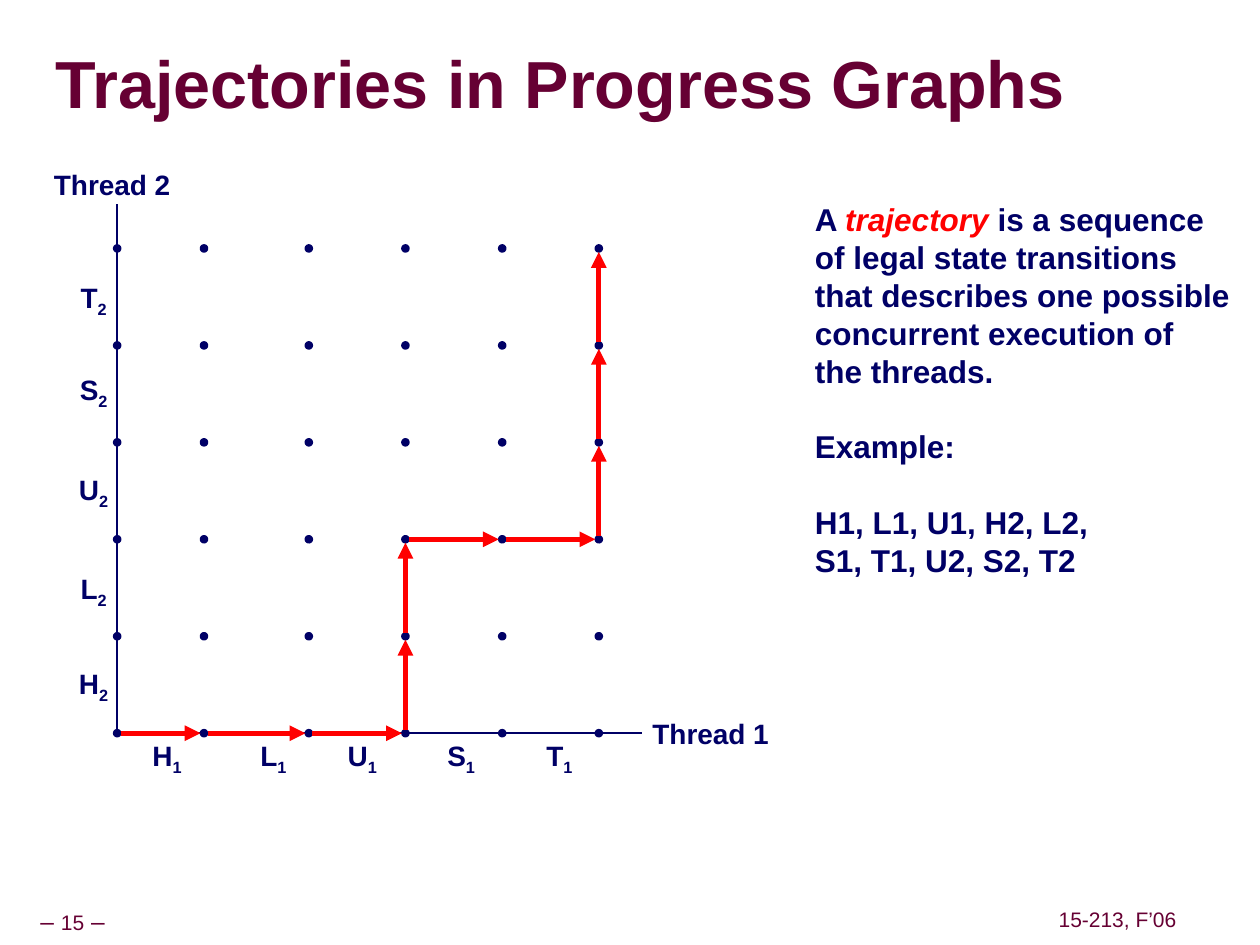
import pptx
import pptx.dml.color
import pptx.enum.shapes
import pptx.enum.text
import pptx.oxml
import pptx.oxml.ns
import pptx.util

Pt = pptx.util.Pt
ALIGN = pptx.enum.text.PP_ALIGN
NAVY, MAROON, RED = "000066", "660033", "FF0000"


def color(hex_text):
    return pptx.dml.color.RGBColor.from_string(hex_text)


def add_span(para, text, size, hex_text, bold=True, italic=False, baseline=None):
    span = para.add_run()
    span.text = text
    font = span.font
    font.name, font.size, font.bold, font.italic = "Arial", Pt(size), bold, italic
    font.color.rgb = color(hex_text)
    if baseline:
        font._element.set("baseline", str(baseline))


def add_box(page, left, top, width, height, align=ALIGN.CENTER, wrap=False, side=7.2):
    box = page.shapes.add_textbox(Pt(left), Pt(top), Pt(width), Pt(height))
    frame = box.text_frame
    frame.word_wrap = wrap
    frame.auto_size = pptx.enum.text.MSO_AUTO_SIZE.SHAPE_TO_FIT_TEXT
    frame.vertical_anchor = pptx.enum.text.MSO_ANCHOR.MIDDLE
    frame.margin_left = frame.margin_right = Pt(side)
    frame.margin_top = frame.margin_bottom = Pt(3.6)
    para = frame.paragraphs[0]
    para.alignment = align
    return para, frame


def add_line(page, start, end, hex_text, width, arrow=False):
    line = page.shapes.add_connector(
        pptx.enum.shapes.MSO_CONNECTOR.STRAIGHT,
        *(Pt(value) for value in (*start, *end)))
    line.line.color.rgb = color(hex_text)
    line.line.width = Pt(width)
    namespace = pptx.oxml.ns.nsdecls("a")
    if arrow:
        line.line._get_or_add_ln().append(
            pptx.oxml.parse_xml(f'<a:tailEnd {namespace} type="triangle"/>'))
    line._element.spPr.append(pptx.oxml.parse_xml(f"<a:effectLst {namespace}/>"))


def add_dot(page, x, y, size=2.9):
    dot = page.shapes.add_shape(
        pptx.enum.shapes.MSO_SHAPE.OVAL,
        Pt(x - size / 2), Pt(y - size / 2), Pt(size), Pt(size))
    dot.shadow.inherit = False
    dot.fill.solid()
    dot.fill.fore_color.rgb = color(NAVY)
    dot.line.color.rgb = color(NAVY)
    dot.line.width = Pt(2)


def add_step_label(page, x, y, letter, thread):
    para, _ = add_box(page, x - 18, y - 14.8, 36, 29.6)
    add_span(para, letter, 16, NAVY)
    add_span(para, str(thread), 16, NAVY, baseline=-25000)


def add_title(page, left, top, width, height):
    title = page.shapes.title
    title.left, title.top, title.width, title.height = map(Pt, (left, top, width, height))
    frame = title.text_frame
    frame.vertical_anchor = pptx.enum.text.MSO_ANCHOR.MIDDLE
    frame.auto_size = pptx.enum.text.MSO_AUTO_SIZE.NONE
    frame.margin_left = frame.margin_right = frame.margin_top = frame.margin_bottom = 0
    para = frame.paragraphs[0]
    para.alignment = ALIGN.LEFT
    para.line_spacing = 0.87
    add_span(para, "Trajectories in Progress Graphs", 38, MAROON)


def add_progress_graph(page, left, top, width, height):
    base = top + height
    columns = [left + offset for offset in (0, 49.6, 109.5, 164.7, 220, 275.2)]
    rows = [base - 55.4 * step for step in range(6)]

    # Axes and their names
    add_line(page, (left, base), (left + width, base), NAVY, 1)
    add_line(page, (left, base), (left, top), NAVY, 1)
    for name, x, y in (("Thread 1", left + width - 5.9, base - 13),
                       ("Thread 2", left - 47.9, top - 24.6)):
        para, _ = add_box(page, x, y, 90, 26.6)
        add_span(para, name, 16, NAVY)

    # Steps of each thread
    for letter, across, up in zip("HLUST", (28.4, 89.2, 140, 196.5, 252.7),
                                  (27, 81.7, 137.8, 195.4, 248)):
        add_step_label(page, left + across, base + 14.1, letter, 1)
        add_step_label(page, left - 13.5, base - up, letter, 2)

    # States
    for y in rows:
        for x in columns:
            add_dot(page, x, y)

    # Trajectory: thread 1 moves right, thread 2 moves up
    column = row = 0
    trim = 2
    for thread in (1, 1, 1, 2, 2, 1, 1, 2, 2, 2):
        x, y = columns[column], rows[row]
        if thread == 1:
            column += 1
            start, end = (x + trim, y), (columns[column] - trim, y)
        else:
            row += 1
            start, end = (x, y - trim), (x, rows[row] + trim)
        add_line(page, start, end, RED, 3, arrow=True)


def add_description(page, left, top, width, height):
    para, frame = add_box(page, left, top, width, height, ALIGN.LEFT, wrap=True)
    add_span(para, "A ", 18, NAVY)
    add_span(para, "trajectory", 18, RED, italic=True)
    add_span(para, " is a sequence", 18, NAVY)
    for text, gap in (("of legal state transitions", 0),
                      ("that describes one possible", 0),
                      ("concurrent execution of", 0),
                      ("the threads.", 0),
                      ("Example:", 21.6),
                      ("H1, L1, U1, H2, L2,", 21.6),
                      ("S1, T1, U2, S2, T2", 0)):
        para = frame.add_paragraph()
        para.alignment = ALIGN.LEFT
        para.space_before = Pt(gap)
        add_span(para, text, 18, NAVY)


def add_footer(page, left, top, width, height):
    number, _ = add_box(page, left, top, 85.7, height, side=3.6)
    for text, size in (("– ", 14), ("15", 12), (" –", 14)):
        add_span(number, text, size, MAROON, bold=False)
    course, _ = add_box(page, left + width - 74.9, top, 74.9, 20.2, side=3.6)
    add_span(course, "15-213, F’06", 12, MAROON, bold=False)
    number.line_spacing = course.line_spacing = 0.9


def main():
    deck = pptx.Presentation()
    deck.slide_width, deck.slide_height = Pt(720), Pt(540)
    page = deck.slides.add_slide(deck.slide_layouts.get_by_name("Title Only"))
    add_footer(page, -1.4, 516.2, 677.5, 22.3)
    add_title(page, 31.7, 19.4, 686, 61.2)
    add_description(page, 458.6, 110.9, 256.4, 223.2)
    add_progress_graph(page, 67, 116.6, 300, 302.4)
    deck.save("out.pptx")


if __name__ == "__main__":
    main()
